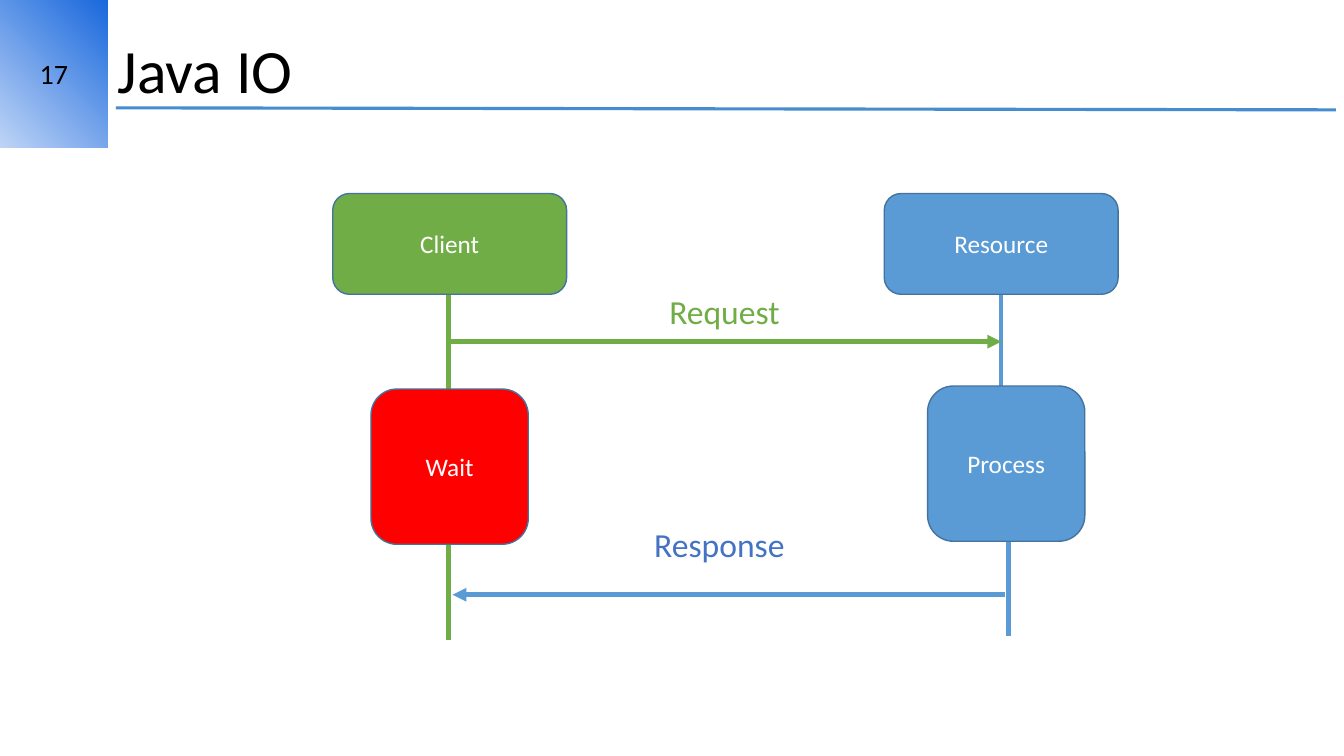
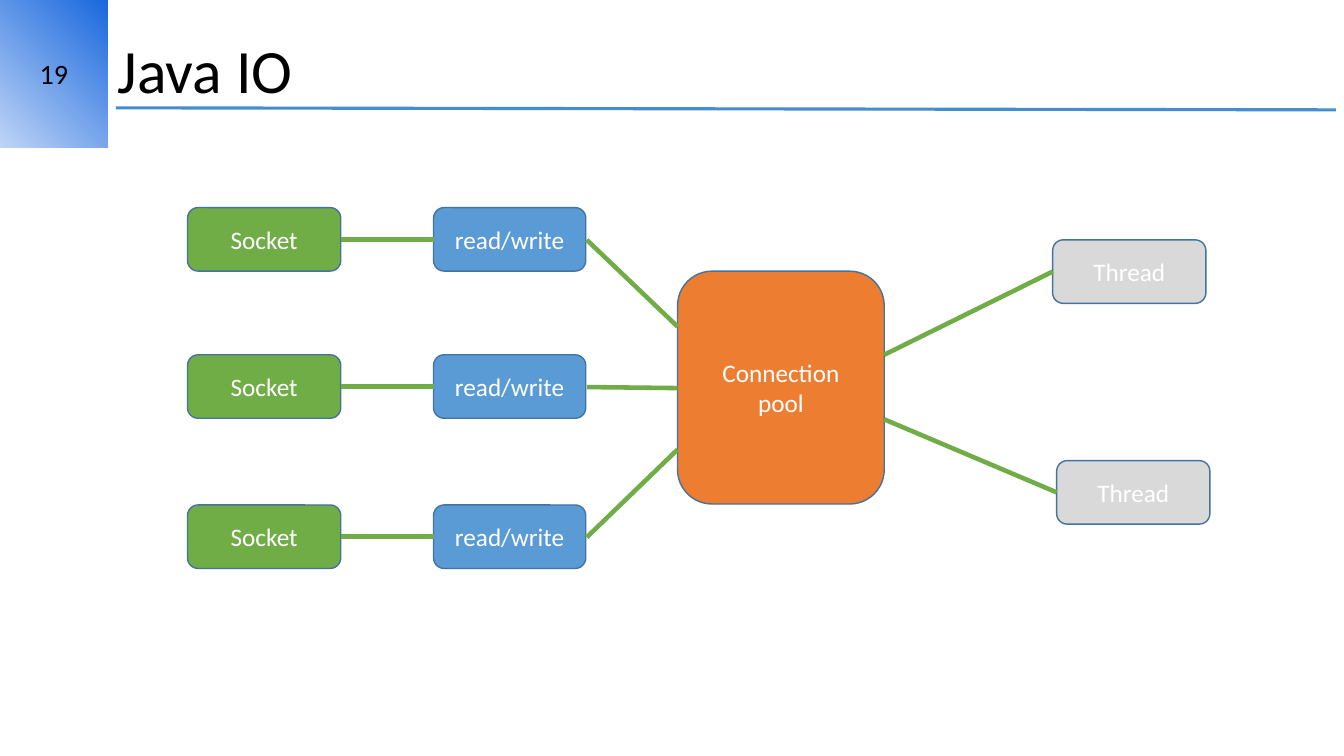
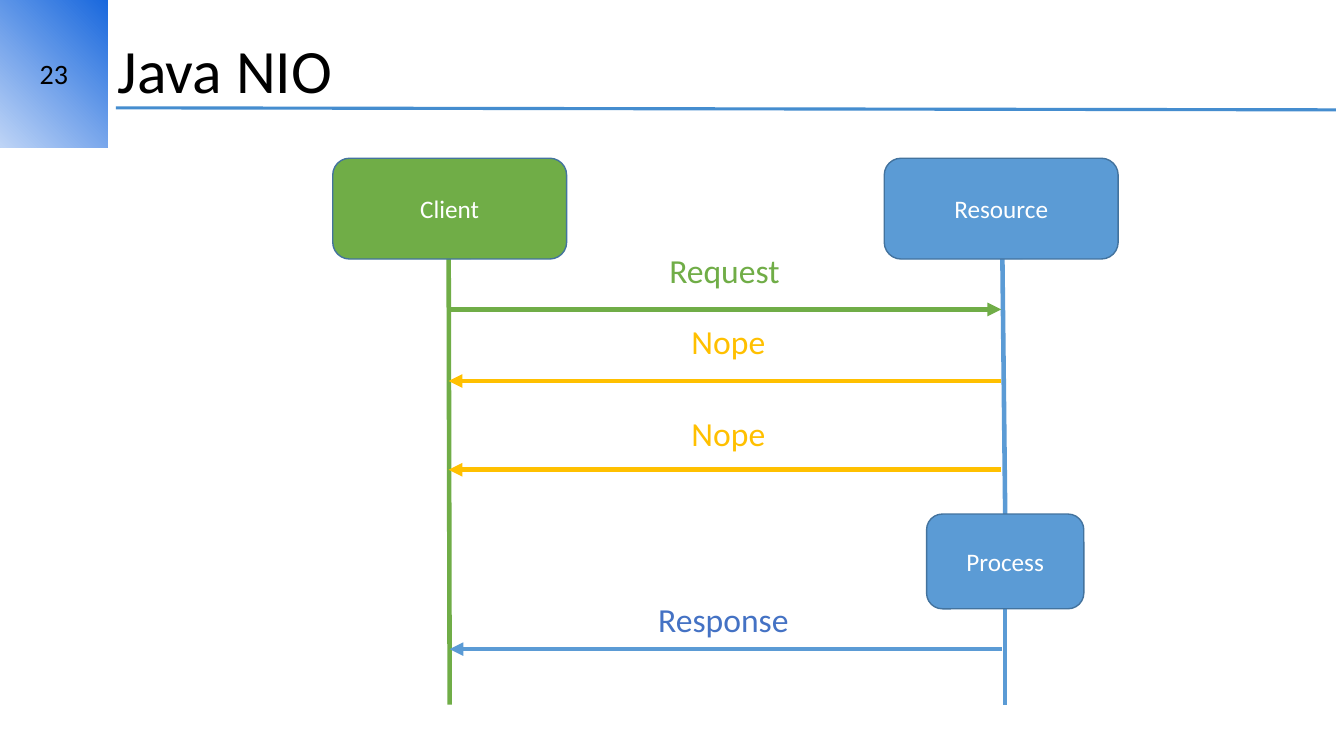
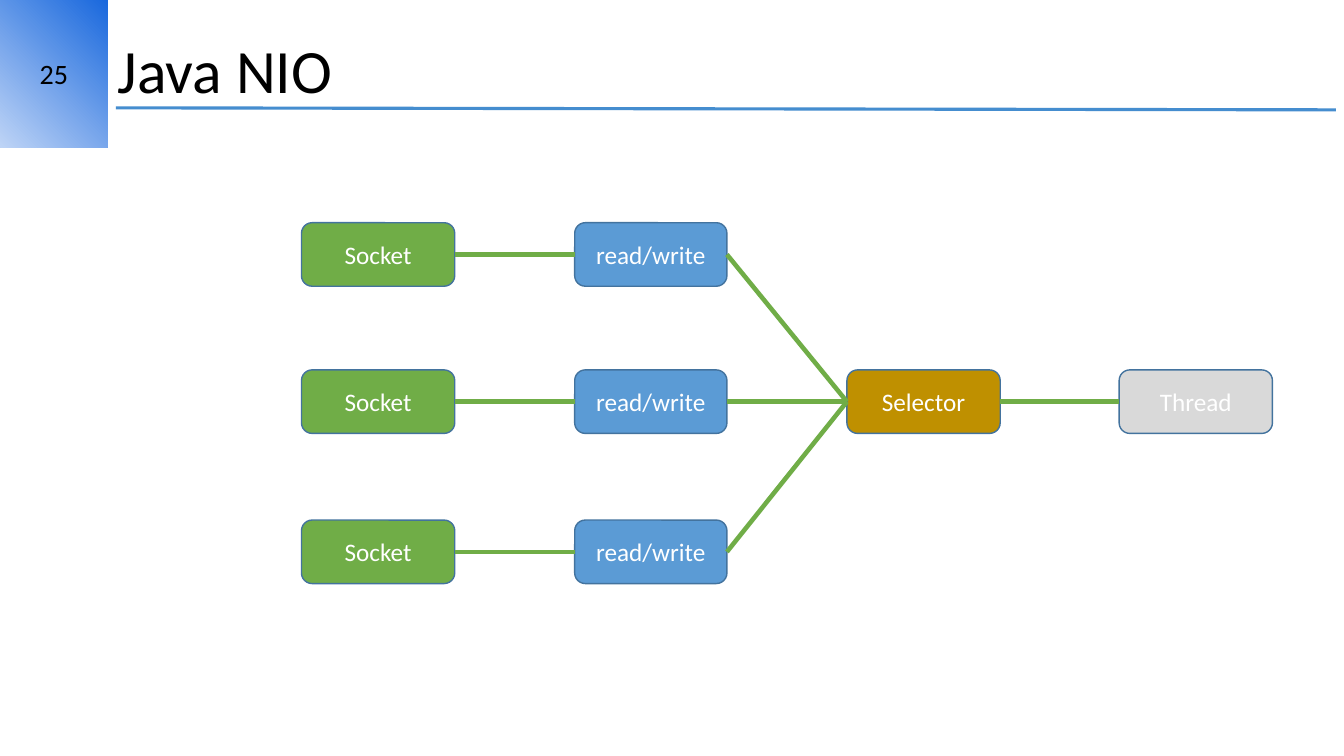
from dataclasses import dataclass

from lxml import etree
from pptx import Presentation
from pptx import util as u
from pptx.dml.color import RGBColor
from pptx.enum import shapes, text
from pptx.oxml import ns


# Colours and type sizes
@dataclass(frozen=True)
class Theme:
    font: str = "Calibri"
    title: int = 44
    label: int = 24
    number: int = 20
    body: int = 18
    wire: float = 3.25
    rule: float = 2.25
    edge: float = 1
    black: str = "000000"
    white: str = "FFFFFF"
    green: str = "70AD47"
    blue: str = "5B9BD5"
    indigo: str = "4472C4"
    red: str = "FF0000"
    orange: str = "ED7D31"
    amber: str = "FFC000"
    ochre: str = "BF9000"
    grey: str = "D9D9D9"
    border: str = "43739E"
    line: str = "458DCF"
    dark: str = "1968DD"
    light: str = "BED4F6"


T = Theme()


@dataclass(frozen=True)
class Box:
    text: str
    fill: str
    x: float
    y: float
    w: float = 1.52
    h: float = 0.63


@dataclass(frozen=True)
class Message:
    text: str
    ink: str
    x: float
    y: float
    w: float


@dataclass(frozen=True)
class Wire:
    ink: str
    x1: float
    y1: float
    x2: float
    y2: float
    arrow: bool = False


ROWS = (0, 1.46, 2.95)  # offsets of the three socket rows
LEFT, RIGHT = 4.45, 9.93  # lifelines of client and resource


# Basic parts
def rgb(code: str) -> RGBColor:
    return RGBColor.from_string(code)


def write(shape, words: str, size: int, ink: str, align=None, space=None) -> None:
    frame = shape.text_frame
    frame.text = words
    for para in frame.paragraphs:
        para.alignment = align
        para.line_spacing = space
        para.font.name = T.font
        para.font.size = u.Pt(size)
        para.font.color.rgb = rgb(ink)


def place(x: float, y: float, w: float, h: float) -> tuple:
    return tuple(u.Inches(n) for n in (x, y, w, h))


def draw_box(slide, box: Box):
    shape = slide.shapes.add_shape(
        shapes.MSO_SHAPE.ROUNDED_RECTANGLE, *place(box.x, box.y, box.w, box.h))
    shape.shadow.inherit = False
    shape.fill.solid()
    shape.fill.fore_color.rgb = rgb(box.fill)
    shape.line.color.rgb = rgb(T.border)
    shape.line.width = u.Pt(T.edge)
    shape.text_frame.vertical_anchor = text.MSO_ANCHOR.MIDDLE
    write(shape, box.text, T.body, T.white, text.PP_ALIGN.CENTER)
    return shape


def draw_wire(slide, wire: Wire, width: float = T.wire):
    line = slide.shapes.add_connector(
        shapes.MSO_CONNECTOR.STRAIGHT,
        *place(wire.x1, wire.y1, wire.x2, wire.y2))
    line.line.color.rgb = rgb(wire.ink)
    line.line.width = u.Pt(width)
    if wire.arrow:
        etree.SubElement(line.line._get_or_add_ln(), ns.qn("a:tailEnd"), type="triangle")
    etree.SubElement(line._element.spPr, ns.qn("a:effectLst"))
    return line


def link(slide, start, end) -> None:
    """Join the right side of one box to the left side of another."""
    line = draw_wire(slide, Wire(T.green, 0, 0, 1, 1))
    line.begin_connect(start, 3)
    line.end_connect(end, 1)


def draw_label(slide, msg: Message) -> None:
    label = slide.shapes.add_textbox(*place(msg.x, msg.y, msg.w, 0.5))
    label.text_frame.word_wrap = False
    label.text_frame.auto_size = text.MSO_AUTO_SIZE.SHAPE_TO_FIT_TEXT
    write(label, msg.text, T.label, msg.ink)


# Shared frame: number badge, title and rule
def new_slide(deck, number: int, title: str):
    slide = deck.slides.add_slide(deck.slide_layouts[6])
    badge = slide.shapes.add_shape(
        shapes.MSO_SHAPE.RECTANGLE, *place(0, 0, 1.07, 1.46))
    badge.shadow.inherit = False
    badge.line.fill.background()
    badge.fill.gradient()
    badge.fill.gradient_angle = 225
    for stop, ink, pos in zip(badge.fill.gradient_stops, (T.dark, T.light), (0, 1)):
        stop.color.rgb = rgb(ink)
        stop.position = pos
    badge.text_frame.vertical_anchor = text.MSO_ANCHOR.MIDDLE
    write(badge, str(number), T.number, T.black, text.PP_ALIGN.CENTER)

    head = slide.shapes.add_textbox(*place(1.07, 0, 12.26, 1.46))
    head.text_frame.word_wrap = True
    head.text_frame.vertical_anchor = text.MSO_ANCHOR.MIDDLE
    write(head, title, T.title, T.black, space=0.9)
    draw_wire(slide, Wire(T.line, 1.15, 1.07, 13.25, 1.09), T.rule)
    return slide


# Sequence diagrams
def sequence(slide, top: float, boxes: list[Box], wires: list[Wire],
             labels: list[Message]) -> None:
    ends = [Box("Client", T.green, 3.3, top, 2.32, 1),
            Box("Resource", T.blue, 8.77, top, 2.32, 1)]
    for wire in wires:
        draw_wire(slide, wire)
    for box in ends + boxes:
        draw_box(slide, box)
    for label in labels:
        draw_label(slide, label)


def request(y: float) -> Message:
    return Message("Request", T.green, 6.54, y, 1.46)


def response(x: float, y: float) -> Message:
    return Message("Response", T.indigo, x, y, 1.68)


def nope(y: float) -> Message:
    return Message("Nope", T.amber, 6.76, y, 1.01)


def blocking(deck) -> None:
    sequence(
        new_slide(deck, 17, "Java IO"), 1.92,
        [Box("Wait", T.red, 3.68, 3.86, 1.56, 1.54),
         Box("Process", T.blue, 9.2, 3.83, 1.56, 1.54)],
        [Wire(T.green, LEFT, 2.92, LEFT, 3.86),
         Wire(T.blue, RIGHT, 2.92, RIGHT, 3.86),
         Wire(T.green, LEFT, 3.39, RIGHT, 3.39, True),
         Wire(T.green, LEFT, 5.4, LEFT, 6.35),
         Wire(T.blue, 10, 5.37, 10, 6.31),
         Wire(T.blue, 9.97, 5.9, 4.49, 5.9, True)],
        [request(2.84), response(6.39, 5.15)])


def polling(deck) -> None:
    sequence(
        new_slide(deck, 23, "Java NIO"), 1.57,
        [Box("Process", T.blue, 9.19, 5.1, 1.56, 0.94)],
        [Wire(T.green, LEFT, 2.57, 4.46, 6.99),
         Wire(T.blue, 9.94, 2.37, 9.97, 5.1),
         Wire(T.blue, 9.97, 6.04, 9.97, 6.99),
         Wire(T.green, LEFT, 3.07, RIGHT, 3.07, True),
         Wire(T.blue, 9.94, 6.44, 4.46, 6.44, True)]
        + [Wire(T.amber, RIGHT, y, LEFT, y, True) for y in (3.78, 4.66)],
        [request(2.43), nope(3.13), nope(4.05), response(6.43, 5.89)])


# Connection diagrams
def sockets(slide, x: float, mid: float, top: float) -> list:
    """Draw three linked rows and return their read/write boxes."""
    ports = []
    for step in ROWS:
        plug = draw_box(slide, Box("Socket", T.green, x, top + step))
        port = draw_box(slide, Box("read/write", T.blue, mid, top + step, 1.51))
        link(slide, plug, port)
        ports.append(port)
    return ports


def pooled(deck) -> None:
    slide = new_slide(deck, 19, "Java IO")
    top = 2.06
    sockets(slide, 1.86, 4.3, top)
    pool = Box("Connection\npool", T.orange, 6.72, 2.69, 2.05, 2.31)
    draw_box(slide, pool)
    for step, y in zip(ROWS, (3.24, 3.85, 4.46)):
        draw_wire(slide, Wire(T.green, 5.82, top + step + 0.32, pool.x, y))
    for x, y, start in ((10.44, 2.38, 3.52), (10.48, 4.57, 4.16)):
        box = Box("Thread", T.grey, x, y)
        draw_box(slide, box)
        draw_wire(slide, Wire(T.green, pool.x + pool.w, start, x, y + box.h / 2))


def selected(deck) -> None:
    slide = new_slide(deck, 25, "Java NIO")
    ports = sockets(slide, 2.99, 5.7, 2.21)
    picker = draw_box(slide, Box("Selector", T.ochre, 8.4, 3.67))
    thread = draw_box(slide, Box("Thread", T.grey, 11.1, 3.67))
    for port in ports:
        link(slide, port, picker)
    link(slide, picker, thread)


def main() -> None:
    deck = Presentation()
    deck.slide_width, deck.slide_height = u.Inches(13.33), u.Inches(7.5)
    for build in (blocking, pooled, polling, selected):
        build(deck)
    deck.save("out.pptx")


if __name__ == "__main__":
    main()
